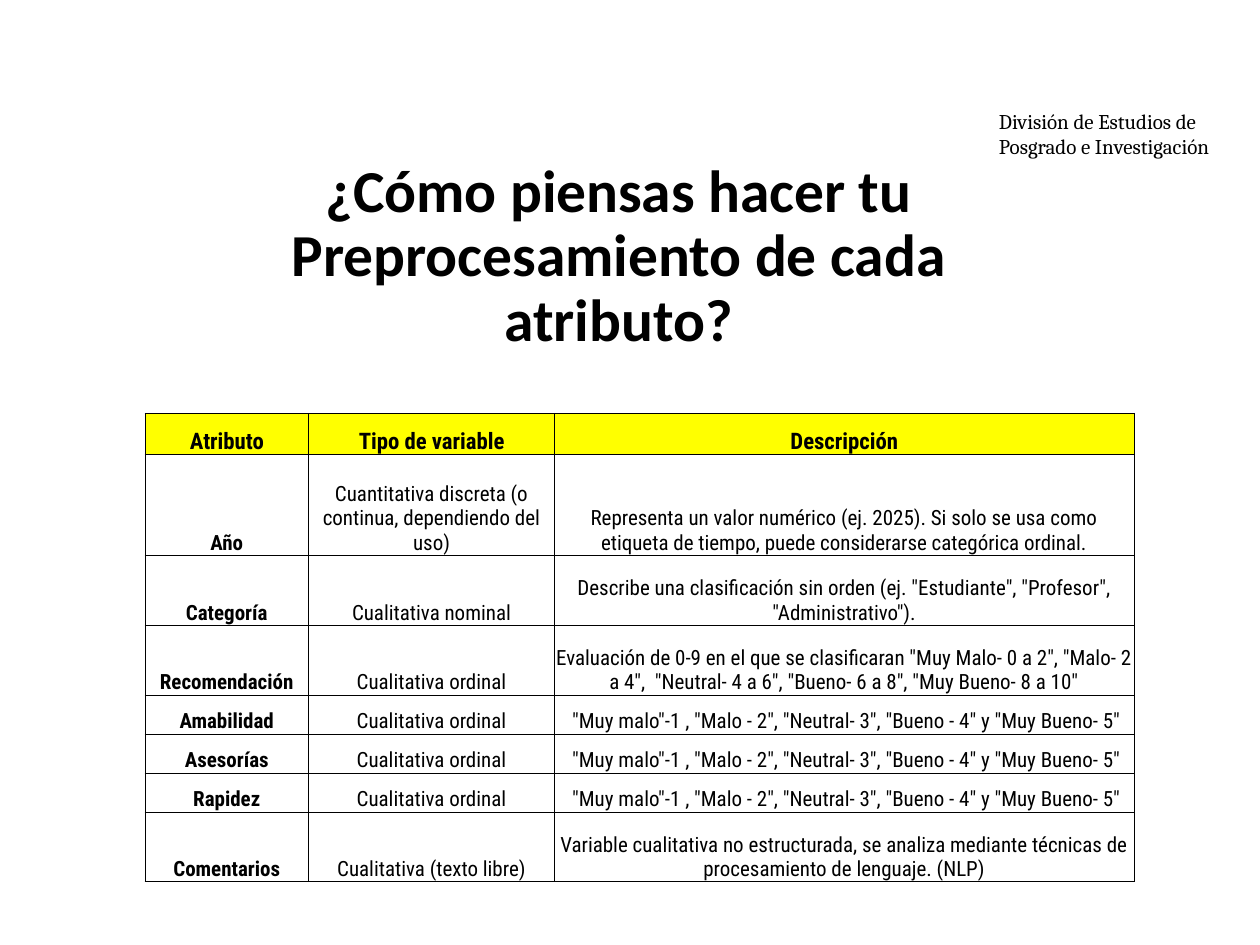
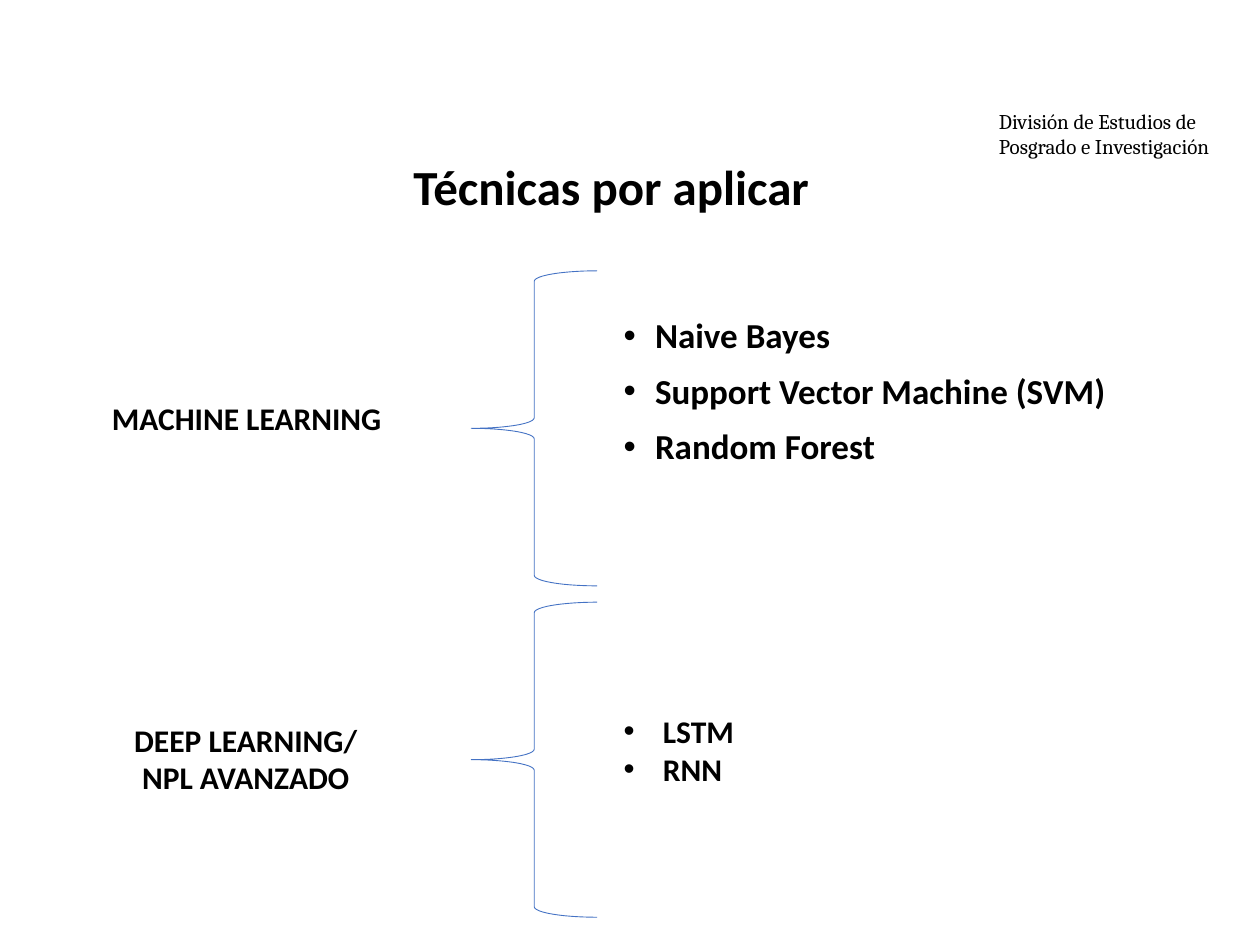
from lxml import etree
from pptx import Presentation, util as u
from pptx.dml.color import RGBColor
from pptx.enum import shapes, text
from pptx.oxml import ns

COLORS = {"ink": "000000", "paper": "FFFFFF", "header": "FFFF00", "brace": "4472C4"}
TITLE_ONLY = 5
ORDINAL = "Cualitativa ordinal"
SCALE = ' "Muy malo"-1 , "Malo - 2", "Neutral- 3", "Bueno - 4" y "Muy Bueno- 5"'


def write(paragraph, content, size, font="Calibri", bold=True, align=text.PP_ALIGN.LEFT):
    paragraph.alignment = align
    run = paragraph.add_run()
    run.text = content
    run.font.size = u.Pt(size)
    run.font.name = font
    run.font.bold = bold
    run.font.color.rgb = RGBColor.from_string(COLORS["ink"])


def place(shape, left, top, width, height, anchor=text.MSO_ANCHOR.TOP):
    shape.left, shape.top = u.Pt(left), u.Pt(top)
    shape.width, shape.height = u.Pt(width), u.Pt(height)
    frame = shape.text_frame
    frame.word_wrap = True
    frame.auto_size = text.MSO_AUTO_SIZE.NONE
    frame.vertical_anchor = anchor
    return frame


presentation = Presentation()
presentation.slide_width = u.Pt(720)
presentation.slide_height = u.Pt(540)

titles = [
    ("¿Cómo piensas hacer tu Preprocesamiento de cada atributo?", 34, 0.9,
     (99.36, 85.68, 508.32, 123.12), text.MSO_ANCHOR.MIDDLE, text.PP_ALIGN.CENTER),
    ("Técnicas por aplicar", 28, 1.0,
     (228.96, 85.68, 374.4, 41.04), text.MSO_ANCHOR.TOP, text.PP_ALIGN.LEFT),
]
slides = []
for content, size, spacing, box, anchor, align in titles:
    slide = presentation.slides.add_slide(presentation.slide_layouts[TITLE_ONLY])
    slide.background.fill.solid()
    slide.background.fill.fore_color.rgb = RGBColor.from_string(COLORS["paper"])
    paragraph = place(slide.shapes.title, *box, anchor).paragraphs[0]
    paragraph.line_spacing = spacing
    write(paragraph, content, size, align=align)

    division = slide.shapes.add_shape(shapes.MSO_SHAPE.RECTANGLE, 0, 0, 0, 0)
    division.shadow.inherit = False
    division.fill.solid()
    division.fill.fore_color.rgb = RGBColor.from_string(COLORS["paper"])
    division.line.color.rgb = RGBColor.from_string(COLORS["paper"])
    division.line.width = u.Pt(0.75)
    frame = place(division, 563.76, 58.32, 142.56, 43.92)
    write(frame.paragraphs[0], "División de Estudios de Posgrado e Investigación",
          12, "Cambria", False)
    slides.append(slide)

attributes_slide, techniques_slide = slides

column_widths = [93.6, 140.4, 331.2]
attributes = [
    (23.76, "Atributo", "Tipo de variable", "Descripción"),
    (57.6, "Año", "Cuantitativa discreta (o continua, dependiendo del uso)",
     "Representa un valor numérico (ej. 2025). Si solo se usa como etiqueta de tiempo, "
     "puede considerarse categórica ordinal."),
    (39.8, "Categoría", "Cualitativa nominal",
     'Describe una clasificación sin orden (ej. "Estudiante", "Profesor", "Administrativo").'),
    (39.8, "Recomendación", ORDINAL,
     'Evaluación de 0-9 en el que se clasificaran "Muy Malo- 0 a 2", "Malo- 2 a 4",  '
     '"Neutral- 4 a 6", "Bueno- 6 a 8", "Muy Bueno- 8 a 10"'),
    (22.32, "Amabilidad", ORDINAL, SCALE),
    (22.32, "Asesorías", ORDINAL, SCALE),
    (22.32, "Rapidez", ORDINAL, SCALE),
    (39.8, "Comentarios", "Cualitativa (texto libre)",
     "Variable cualitativa no estructurada, se analiza mediante técnicas de "
     "procesamiento de lenguaje. (NLP)"),
]
table = attributes_slide.shapes.add_table(
    len(attributes), len(column_widths), u.Pt(82.8), u.Pt(236.16),
    u.Pt(sum(column_widths)), u.Pt(sum(row[0] for row in attributes))).table
table.first_row = False
table.horz_banding = False
for column, width in zip(table.columns, column_widths):
    column.width = u.Pt(width)
for row_index, (height, *contents) in enumerate(attributes):
    table.rows[row_index].height = u.Pt(height)
    is_header = row_index == 0
    for column_index, content in enumerate(contents):
        cell = table.cell(row_index, column_index)
        cell.margin_left = cell.margin_right = cell.margin_top = u.Pt(0.72)
        cell.margin_bottom = 0
        cell.vertical_anchor = text.MSO_ANCHOR.BOTTOM
        properties = cell._tc.get_or_add_tcPr()
        for side in ("a:lnL", "a:lnR", "a:lnT", "a:lnB"):
            border = etree.SubElement(properties, ns.qn(side), w=str(u.Pt(0.5)))
            border_fill = etree.SubElement(border, ns.qn("a:solidFill"))
            etree.SubElement(border_fill, ns.qn("a:srgbClr"), val=COLORS["ink"])
        if is_header:
            cell.fill.solid()
            cell.fill.fore_color.rgb = RGBColor.from_string(COLORS["header"])
        else:
            cell.fill.background()
        write(cell.text_frame.paragraphs[0], content, 13 if is_header else 12,
              "Roboto Condensed", is_header or column_index == 0, text.PP_ALIGN.CENTER)

families = [
    ("MACHINE LEARNING", (56.88, 224.64, 181.44, 28.8), text.PP_ALIGN.LEFT),
    ("DEEP LEARNING/ NPL AVANZADO", (65.52, 408.24, 149.76, 51.12), text.PP_ALIGN.CENTER),
]
for content, box, align in families:
    frame = place(techniques_slide.shapes.add_textbox(0, 0, 0, 0), *box)
    write(frame.paragraphs[0], content, 18, align=align)

technique_lists = [
    (["Naive Bayes", "Support Vector Machine (SVM)", "Random Forest"],
     (349.2, 178.56, 375.84, 361.44), 20, 18, 0.9, 10),
    (["LSTM", "RNN"], (349.2, 403.2, 272.88, 51.12), 18, 22.5, 1.0, 0),
]
for techniques, box, size, indent, spacing, space_before in technique_lists:
    frame = place(techniques_slide.shapes.add_textbox(0, 0, 0, 0), *box)
    for index, technique in enumerate(techniques):
        paragraph = frame.add_paragraph() if index else frame.paragraphs[0]
        paragraph.line_spacing = spacing
        paragraph.space_before = u.Pt(space_before)
        write(paragraph, technique, size)
        properties = paragraph._p.get_or_add_pPr()
        properties.set("marL", str(u.Pt(indent)))
        properties.set("indent", str(-u.Pt(indent)))
        etree.SubElement(properties, ns.qn("a:buFont"), typeface="Arial")
        etree.SubElement(properties, ns.qn("a:buChar"), char="•")

for top in (154.8, 344.16):
    brace = techniques_slide.shapes.add_shape(
        shapes.MSO_SHAPE.LEFT_BRACE, u.Pt(269.28), u.Pt(top), u.Pt(72), u.Pt(180))
    brace.shadow.inherit = False
    brace.fill.background()
    brace.line.color.rgb = RGBColor.from_string(COLORS["brace"])
    brace.line.width = u.Pt(0.5)

presentation.save("out.pptx")
